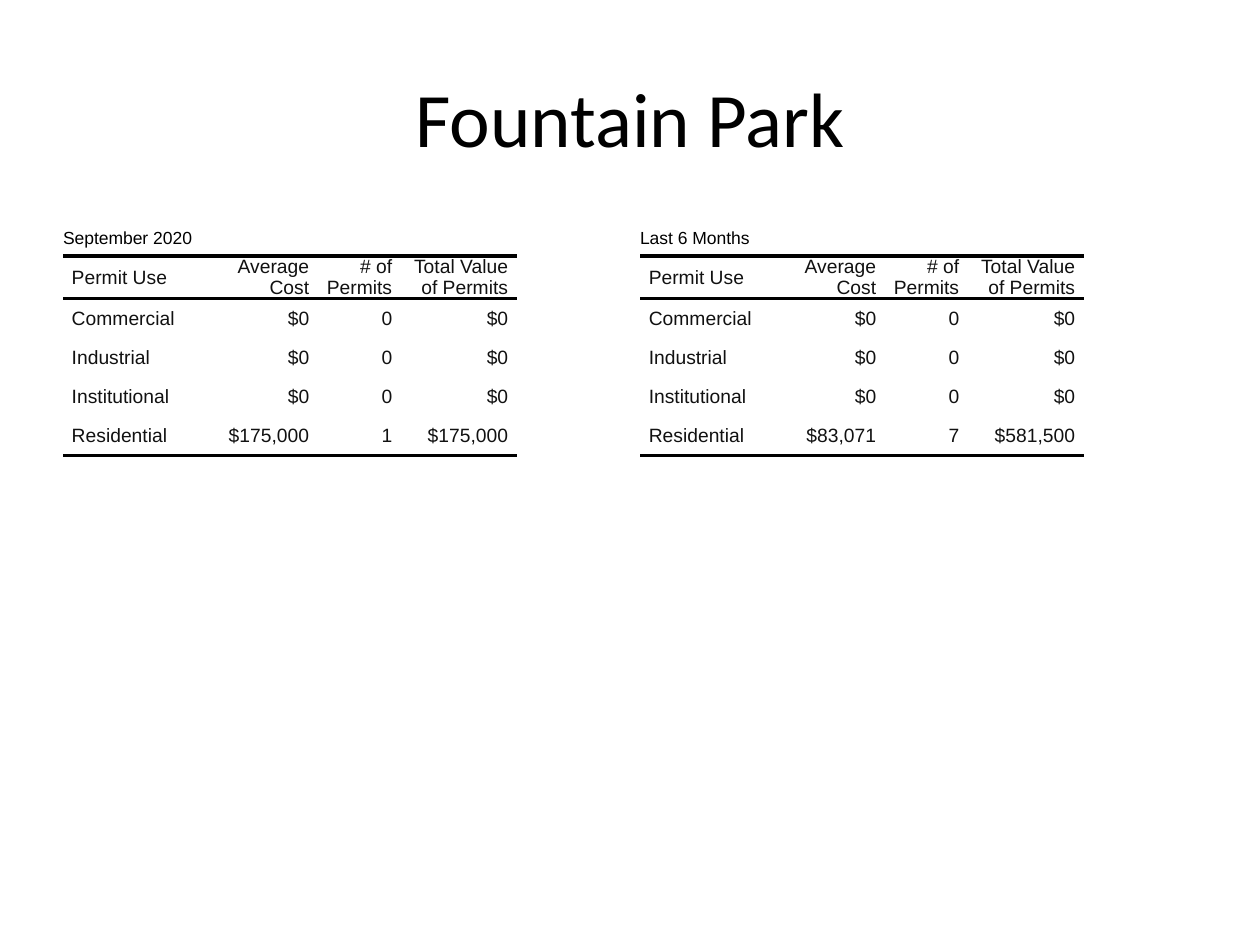
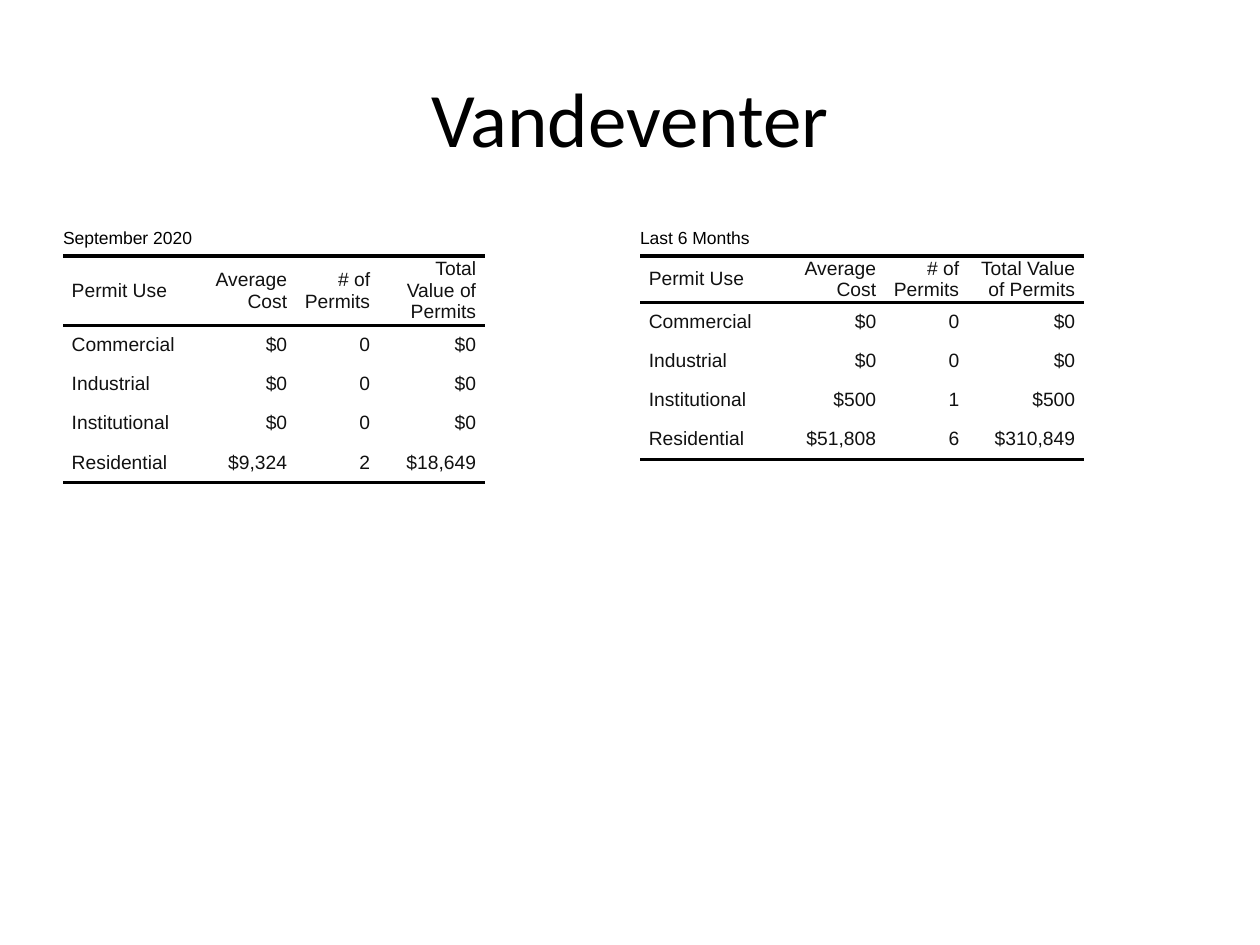
from dataclasses import dataclass, field

import pptx
import pptx.dml.color
import pptx.enum.text
import pptx.oxml
import pptx.oxml.ns
import pptx.presentation
import pptx.slide
import pptx.table
import pptx.util

COLORS = {"title": "000000", "rule": "000000", "body": "111111"}
TITLE_FONT, TABLE_FONT = "Calibri", "Arial"
EMU_PER_PX = 914400 / 126
NO_STYLE = "{2D5ABB26-0587-4C30-8999-92F81FD0307C}"

HEADINGS = ("Permit Use", "Average Cost", "# of Permits", "Total Value of Permits")
USES = ("Commercial", "Industrial", "Institutional", "Residential")
ROW_HEIGHTS = (36, 36, 39, 39, 39, 40)
TABLE_TOP, TABLE_WIDTH, TABLE_HEIGHT = 220, 557, 624
MONTH_LEFT, HALF_YEAR_LEFT = 63, 640
CELL_INDENT = pptx.util.Pt(5)
RULE_WIDTH = pptx.util.Pt(2)
ALIGN = pptx.enum.text.PP_ALIGN
MIDDLE = pptx.enum.text.MSO_ANCHOR.MIDDLE


@dataclass(frozen=True)
class Permits:
    """Number and total value of the permits for one use."""

    count: int = 0
    total: int = 0

    def columns(self) -> tuple[str, str, str]:
        """Return average cost, count and total as shown in the table."""
        average = self.total / self.count if self.count else 0
        return f"${average:,.0f}", str(self.count), f"${self.total:,}"


@dataclass(frozen=True)
class Period:
    """One permit table: its caption, place, columns and permits by use."""

    caption: str
    left: int
    column_widths: tuple[int, ...]
    permits: dict[str, Permits] = field(default_factory=dict)


@dataclass(frozen=True)
class Neighborhood:
    """One slide: a neighborhood and its two reporting periods."""

    name: str
    periods: tuple[Period, ...]


def month(widths: tuple[int, ...], permits: dict[str, Permits]) -> Period:
    """Return the period for the latest month."""
    return Period("September 2020", MONTH_LEFT, widths, permits)


def half_year(permits: dict[str, Permits]) -> Period:
    """Return the period for the last six months."""
    return Period("Last 6 Months", HALF_YEAR_LEFT, (139, 106, 83, 116), permits)


NEIGHBORHOODS = (
    Neighborhood("Fountain Park", (
        month((139, 116, 83, 116), {"Residential": Permits(1, 175000)}),
        half_year({"Residential": Permits(7, 581500)}),
    )),
    Neighborhood("Vandeventer", (
        month((139, 94, 83, 106), {"Residential": Permits(2, 18649)}),
        half_year({"Institutional": Permits(1, 500), "Residential": Permits(6, 310849)}),
    )),
)


def px(length: int) -> pptx.util.Emu:
    """Convert pixels to EMU."""
    return pptx.util.Emu(round(length * EMU_PER_PX))


def set_font(paragraph, face: str, size: int, color: str) -> None:
    """Set the face, size and colour of a whole paragraph."""
    paragraph.font.name = face
    paragraph.font.size = pptx.util.Pt(size)
    paragraph.font.color.rgb = pptx.dml.color.RGBColor.from_string(COLORS[color])


def add_title(slide: pptx.slide.Slide, name: str) -> None:
    """Add the centred slide title."""
    title = slide.shapes.add_textbox(px(63), px(38), px(1134), px(157)).text_frame
    title.word_wrap = True
    title.vertical_anchor = MIDDLE
    heading = title.paragraphs[0]
    heading.text = name
    heading.alignment = ALIGN.CENTER
    set_font(heading, TITLE_FONT, 44, "title")


def add_rule(cell: pptx.table._Cell, edge: str) -> None:
    """Draw a border line on one edge of a cell."""
    cell._tc.get_or_add_tcPr().append(pptx.oxml.parse_xml(
        f'<a:{edge} {pptx.oxml.ns.nsdecls("a")} w="{RULE_WIDTH}"><a:solidFill>'
        f'<a:srgbClr val="{COLORS["rule"]}"/></a:solidFill></a:{edge}>'))


def fill_cell(cell: pptx.table._Cell, text: str, row: int, column: int) -> None:
    """Write and format one cell according to its row and column."""
    cell.margin_left = cell.margin_right = cell.margin_top = cell.margin_bottom = 0
    cell.vertical_anchor = MIDDLE
    if row == 1:
        add_rule(cell, "lnT")
    if row in (1, len(USES) + 1):
        add_rule(cell, "lnB")
    cell.fill.background()
    entry = cell.text_frame.paragraphs[0]
    entry.text = text
    if row == 0:
        set_font(entry, TABLE_FONT, 10, "title")
        return
    indents = entry._p.get_or_add_pPr()
    for side in ("marL", "marR"):
        indents.set(side, str(CELL_INDENT))
    entry.alignment = ALIGN.RIGHT if column else ALIGN.LEFT
    entry.space_after = pptx.util.Pt(2)
    set_font(entry, TABLE_FONT, 11, "body")


def add_permit_table(slide: pptx.slide.Slide, period: Period) -> None:
    """Add the table of permits for one period."""
    rows = [(period.caption, "", "", ""), HEADINGS]
    rows += [(use, *period.permits.get(use, Permits()).columns()) for use in USES]
    frame = slide.shapes.add_table(len(rows), len(HEADINGS), px(period.left),
                                   px(TABLE_TOP), px(TABLE_WIDTH), px(TABLE_HEIGHT))
    table = frame.table
    table.first_row = table.horz_banding = False
    table._tbl.tblPr.find(pptx.oxml.ns.qn("a:tableStyleId")).text = NO_STYLE
    for column, width in zip(table.columns, period.column_widths):
        column.width = px(width)
    for row, height in zip(table.rows, ROW_HEIGHTS):
        row.height = px(height)
    frame.width, frame.height = px(TABLE_WIDTH), px(TABLE_HEIGHT)
    for row, texts in enumerate(rows):
        for column, text in enumerate(texts):
            fill_cell(table.cell(row, column), text, row, column)
    table.cell(0, 0).merge(table.cell(0, len(HEADINGS) - 1))


def add_neighborhood(deck: pptx.presentation.Presentation, place: Neighborhood) -> None:
    """Add the slide of one neighborhood."""
    slide = deck.slides.add_slide(deck.slide_layouts[6])
    for period in place.periods:
        add_permit_table(slide, period)
    add_title(slide, place.name)


def main() -> None:
    """Build and save the presentation."""
    deck = pptx.Presentation()
    deck.slide_width, deck.slide_height = px(1260), px(945)
    for place in NEIGHBORHOODS:
        add_neighborhood(deck, place)
    deck.save("out.pptx")


if __name__ == "__main__":
    main()
